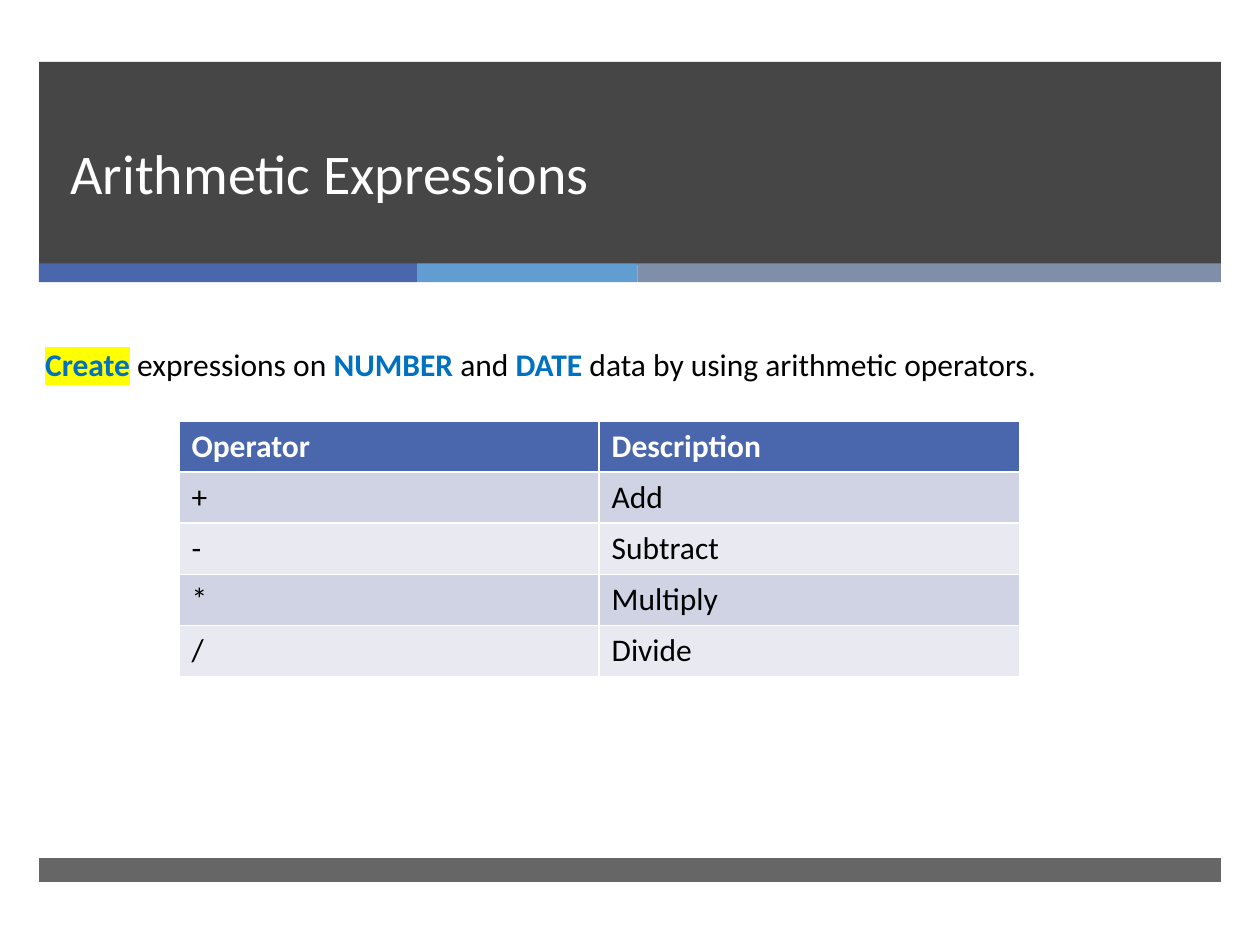
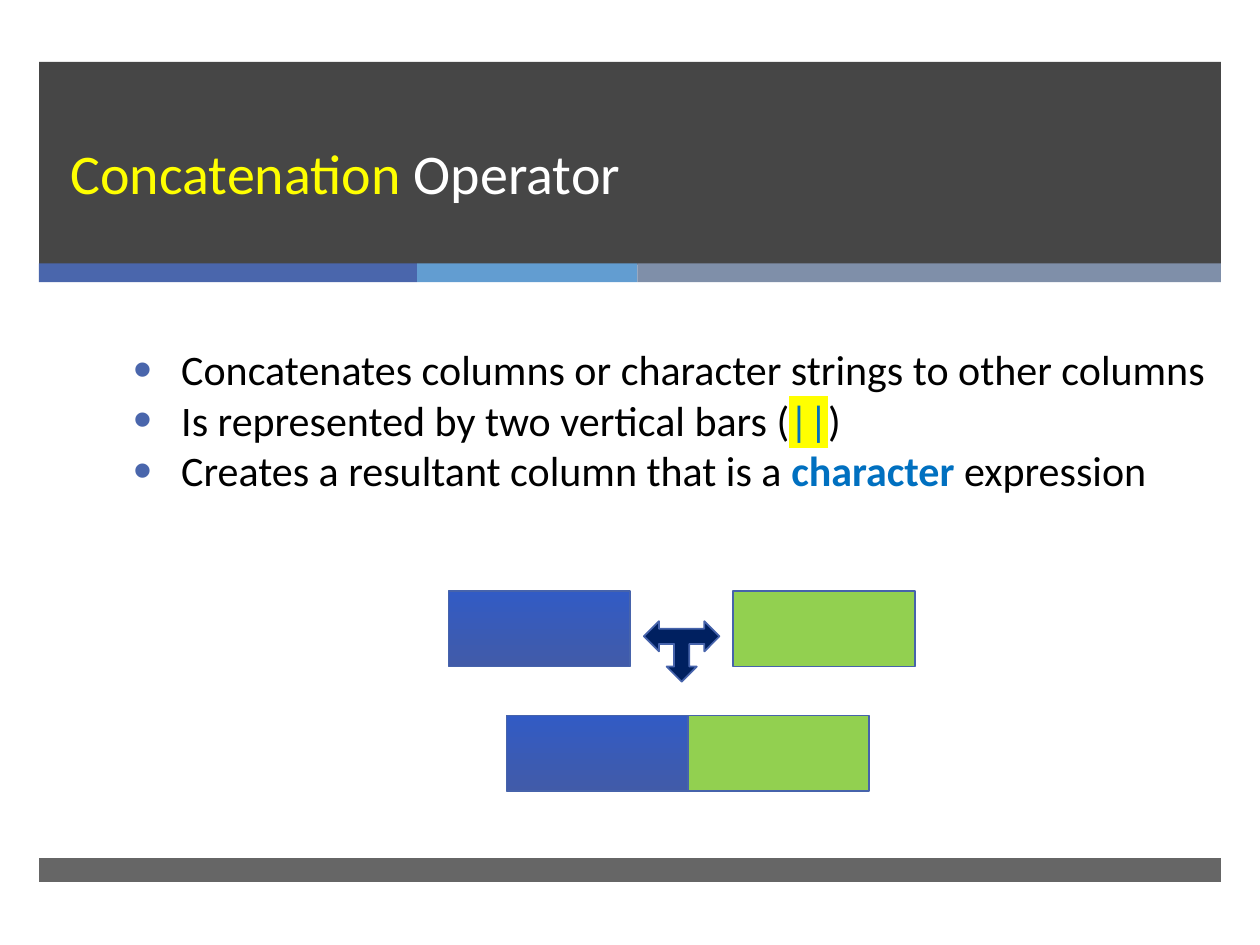
from dataclasses import dataclass

from lxml import etree
from pptx import Presentation
from pptx.dml.color import RGBColor
from pptx.enum.shapes import MSO_SHAPE
from pptx.enum.text import MSO_ANCHOR, MSO_AUTO_SIZE, PP_ALIGN
from pptx.oxml.ns import qn
from pptx.util import Inches, Pt

RECTANGLE = MSO_SHAPE.RECTANGLE
THREE_WAY_ARROW = MSO_SHAPE.LEFT_RIGHT_UP_ARROW
LEFT = PP_ALIGN.LEFT
BOTTOM = MSO_ANCHOR.BOTTOM
NO_AUTOFIT = MSO_AUTO_SIZE.NONE
FIT_SHAPE = MSO_AUTO_SIZE.SHAPE_TO_FIT_TEXT


@dataclass(frozen=True)
class Theme:
    font: str = "Calibri"
    title_size: int = 32
    title_spacing: int = 46
    bullet_size: int = 24
    body_size: int = 18
    white: str = "FFFFFF"
    black: str = "000000"
    yellow: str = "FFFF00"
    keyword: str = "0070C0"
    band: str = "262626"
    accent: str = "4A66AC"
    light_blue: str = "629DD1"
    slate: str = "7F8FA9"
    row_dark: str = "D0D3E3"
    row_light: str = "E9EAF1"
    outline: str = "4663AB"
    green: str = "92D050"
    navy: str = "002060"
    gradient: tuple = ("415BA9", "325BC4")


theme = Theme()


def write_text(frame, paragraphs, size, color=theme.black, bold=False, spacing=None, bullets=False):
    for index, runs in enumerate(paragraphs):
        paragraph = frame.add_paragraph() if index else frame.paragraphs[0]
        paragraph.alignment = LEFT
        if spacing:
            paragraph.line_spacing = Pt(spacing)
        if bullets:
            paragraph.level = 1
            properties = paragraph._p.get_or_add_pPr()
            properties.set("marL", str(Inches(0.88)))
            properties.set("indent", str(Inches(-0.38)))
            bullet_color = etree.SubElement(properties, qn("a:buClr"))
            etree.SubElement(bullet_color, qn("a:srgbClr"), val=theme.accent)
            etree.SubElement(properties, qn("a:buSzPct"), val="125000")
            etree.SubElement(properties, qn("a:buFont"), typeface="Arial")
            etree.SubElement(properties, qn("a:buChar"), char="•")
        for text, changes in runs:
            run = paragraph.add_run()
            run.text = text
            run.font.size = Pt(size)
            run.font.bold = changes.get("bold", bold)
            run.font.color.rgb = RGBColor.from_string(changes.get("color", color))
            if "highlight" in changes:
                highlight = etree.SubElement(run._r.get_or_add_rPr(), qn("a:highlight"))
                etree.SubElement(highlight, qn("a:srgbClr"), val=changes["highlight"])
            run.font.name = theme.font


def add_block(slide, left, top, width, height, fill, kind=RECTANGLE, opacity=None, line=None):
    shape = slide.shapes.add_shape(kind, Inches(left), Inches(top), Inches(width), Inches(height))
    shape.shadow.inherit = False
    if isinstance(fill, tuple):
        shape.fill.gradient()
        shape.fill.gradient_angle = 90
        for stop, color in zip(shape.fill.gradient_stops, fill):
            stop.color.rgb = RGBColor.from_string(color)
    else:
        shape.fill.solid()
        shape.fill.fore_color.rgb = RGBColor.from_string(fill)
    if opacity:
        color_element = shape.element.spPr.find(".//" + qn("a:srgbClr"))
        etree.SubElement(color_element, qn("a:alpha"), val=str(opacity * 1000))
    if line:
        shape.line.color.rgb = RGBColor.from_string(line)
        shape.line.width = Pt(1)
    else:
        shape.line.fill.background()
    return shape


presentation = Presentation()
presentation.slide_width = Inches(10)
presentation.slide_height = Inches(7.5)
title_only = presentation.slide_layouts[5]

keyword = {"color": theme.keyword, "bold": True}
titles = [
    [("Arithmetic Expressions", {})],
    [("Concatenation", {"color": theme.yellow}), (" Operator", {})],
]
stripes = [(3, theme.accent), (1.75, theme.light_blue), (4.63, theme.slate)]

slides = []
for title_runs in titles:
    slide = presentation.slides.add_slide(title_only)
    add_block(slide, 0.31, 0.49, 9.38, 1.61, theme.band, opacity=85)
    stripe_left = 0.31
    for stripe_width, stripe_color in stripes:
        add_block(slide, stripe_left, 2.09, stripe_width, 0.15, stripe_color)
        stripe_left += stripe_width
    add_block(slide, 0.31, 6.81, 9.38, 0.19, theme.band, opacity=70)

    title = slide.shapes.title
    title.left, title.top = Inches(0.46), Inches(0.49)
    title.width, title.height = Inches(8.54), Inches(1.19)
    title.text_frame.auto_size = NO_AUTOFIT
    title.text_frame.vertical_anchor = BOTTOM
    write_text(title.text_frame, [title_runs], theme.title_size, theme.white, spacing=theme.title_spacing)
    title.element.getparent().append(title.element)
    slides.append(slide)

arithmetic_slide, concatenation_slide = slides

introduction = arithmetic_slide.shapes.add_textbox(Inches(0.26), Inches(2.69), Inches(9.37), Inches(0.4))
introduction.text_frame.word_wrap = True
introduction.text_frame.auto_size = FIT_SHAPE
write_text(introduction.text_frame, [[
    ("Create", {**keyword, "highlight": theme.yellow}),
    (" expressions on ", {}),
    ("NUMBER", keyword),
    (" and ", {}),
    ("DATE", keyword),
    (" data by using arithmetic operators.", {}),
]], theme.body_size)

operators = [
    ("Operator", "Description"),
    ("+", "Add"),
    ("-", "Subtract"),
    ("*", "Multiply"),
    ("/", "Divide"),
]
operator_table = arithmetic_slide.shapes.add_table(
    len(operators), 2, Inches(1.42), Inches(3.34), Inches(6.67), Inches(2.03)
).table
for row_index, row in enumerate(operators):
    is_header = row_index == 0
    row_fill = theme.accent if is_header else (theme.row_light, theme.row_dark)[row_index % 2]
    for column_index, text in enumerate(row):
        cell = operator_table.cell(row_index, column_index)
        cell.fill.solid()
        cell.fill.fore_color.rgb = RGBColor.from_string(row_fill)
        text_color = theme.white if is_header else theme.black
        write_text(cell.text_frame, [[(text, {})]], theme.body_size, text_color, bold=is_header)

points = concatenation_slide.shapes.add_textbox(Inches(0.46), Inches(2.68), Inches(9.22), Inches(1.31))
points.text_frame.word_wrap = True
points.text_frame.auto_size = FIT_SHAPE
write_text(points.text_frame, [
    [("Concatenates columns or character strings to other columns", {})],
    [
        ("Is represented by two vertical bars (", {}),
        ("||", {"color": theme.keyword, "highlight": theme.yellow}),
        (")", {}),
    ],
    [
        ("Creates a resultant column that is a ", {}),
        ("character", keyword),
        (" expression", {}),
    ],
], theme.bullet_size, bullets=True)

column_blocks = [
    (3.56, 4.69, theme.gradient),
    (5.82, 4.69, theme.green),
    (4.02, 5.68, theme.gradient),
    (5.46, 5.68, theme.green),
]
for left, top, fill in column_blocks:
    add_block(concatenation_slide, left, top, 1.44, 0.6, fill, line=theme.outline)
join_arrow = add_block(
    concatenation_slide, 5.11, 4.93, 0.6, 0.48, theme.navy, kind=THREE_WAY_ARROW, line=theme.outline
)
join_arrow.rotation = 180

presentation.save("out.pptx")
